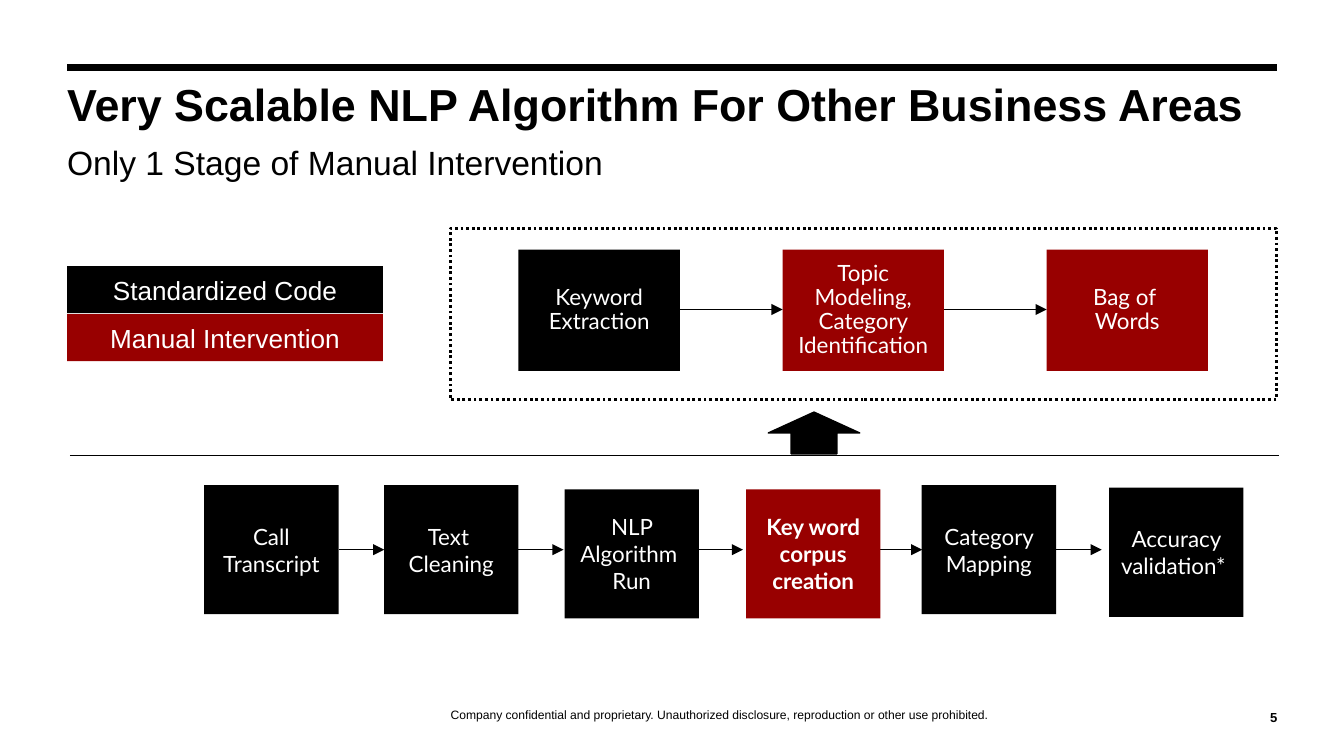
import pptx
import pptx.util
import pptx.dml.color
import pptx.enum.dml
import pptx.enum.shapes
import pptx.enum.text
import pptx.oxml.ns
import lxml.etree

Cm, Pt = pptx.util.Cm, pptx.util.Pt
SHAPE = pptx.enum.shapes.MSO_SHAPE
ALIGN = pptx.enum.text.PP_ALIGN
ANCHOR = pptx.enum.text.MSO_ANCHOR

COLORS = {"black": "000000", "red": "980000", "white": "FFFFFF"}

TITLE = "Very Scalable NLP Algorithm For Other Business Areas"
SUBTITLE = "Only 1 Stage of Manual Intervention"
FOOTER = "Company confidential and proprietary. Unauthorized disclosure, reproduction or other use prohibited."
PAGE = "5"
LEGEND = [("Standardized Code", "black"), ("Manual Intervention", "red")]
DETAIL_STEPS = [
    (["Keyword Extraction"], "black"),
    (["Topic Modeling, Category Identification"], "red"),
    (["Bag of ", "Words"], "red"),
]
MAIN_STEPS = [
    (3.86, 9.17, ["Call Transcript"], "black"),
    (7.26, 9.17, ["Text ", "Cleaning"], "black"),
    (10.67, 9.25, ["NLP Algorithm ", "Run"], "black"),
    (14.1, 9.25, ["Key word corpus creation"], "red"),
    (17.42, 9.17, ["Category Mapping"], "black"),
    (20.96, 9.22, ["Accuracy validation* "], "black"),
]

LEFT, RIGHT = 1.27, 24.13
LEGEND_TOP, LEGEND_PITCH = 5.03, 0.91
DETAIL_LEFT, DETAIL_TOP, DETAIL_PITCH = 9.8, 4.72, 4.99
DETAIL_W, DETAIL_H, DETAIL_ARROW_Y = 3.05, 2.29, 5.85
STEP_W, STEP_H = 2.54, 2.44
ARROW_LEFT, ARROW_Y, ARROW_PITCH, ARROW_W = 6.4, 10.39, 3.39, 0.86


def rgb(color):
    return pptx.dml.color.RGBColor.from_string(COLORS[color])


def set_frame(tf, inset_x, inset_y, anchor):
    tf.word_wrap = True
    tf.margin_left = tf.margin_right = Cm(inset_x)
    tf.margin_top = tf.margin_bottom = Cm(inset_y)
    tf.vertical_anchor = anchor


def add_text(p, text, size, color="black", font="Arial", bold=False, align=ALIGN.LEFT, spacing=1.0):
    p.alignment = align
    p.line_spacing = spacing
    r = p.add_run()
    r.text = text
    r.font.size = Pt(size)
    r.font.name = font
    r.font.bold = bold
    r.font.color.rgb = rgb(color)


def add_label(s, x, y, w, h, anchor):
    tf = s.shapes.add_textbox(Cm(x), Cm(y), Cm(w), Cm(h)).text_frame
    set_frame(tf, 0, 0, anchor)
    return tf


def add_shape(s, kind, x, y, w, h, fill=None, line=None, width=0.75):
    sp = s.shapes.add_shape(kind, Cm(x), Cm(y), Cm(w), Cm(h))
    sp.shadow.inherit = False
    if fill:
        sp.fill.solid()
        sp.fill.fore_color.rgb = rgb(fill)
    else:
        sp.fill.background()
    if line:
        sp.line.color.rgb = rgb(line)
        sp.line.width = Pt(width)
    else:
        sp.line.fill.background()
    return sp


def add_box(s, x, y, w, h, lines, fill, size=12, font="Lato", inset_x=0.13, bold=False, spacing=1.0):
    tf = add_shape(s, SHAPE.RECTANGLE, x, y, w, h, fill).text_frame
    set_frame(tf, inset_x, 0.13, ANCHOR.MIDDLE)
    for i, text in enumerate(lines):
        p = tf.add_paragraph() if i else tf.paragraphs[0]
        add_text(p, text, size, "white", font, bold, ALIGN.CENTER, spacing)


def add_line(s, x1, x2, y, width=0.75, arrow=False):
    line = s.shapes.add_connector(
        pptx.enum.shapes.MSO_CONNECTOR.STRAIGHT, Cm(x1), Cm(y), Cm(x2), Cm(y))
    line.line.color.rgb = rgb("black")
    line.line.width = Pt(width)
    qn = pptx.oxml.ns.qn
    if arrow:
        lxml.etree.SubElement(line.line._get_or_add_ln(), qn("a:tailEnd"), type="triangle")
    lxml.etree.SubElement(line._element.spPr, qn("a:effectLst"))


def main():
    prs = pptx.Presentation()
    prs.slide_width, prs.slide_height = Cm(25.4), Cm(14.29)
    s = prs.slides.add_slide(prs.slide_layouts[6])

    footer = add_label(s, 3.71, 12.8, 19.79, 0.84, ANCHOR.BOTTOM)
    add_text(footer.paragraphs[0], FOOTER, 6.5, align=ALIGN.CENTER, spacing=1.14)
    add_line(s, LEFT, RIGHT, 1.27, width=3.75)

    title = add_label(s, LEFT, 1.65, RIGHT - LEFT, 1.9, ANCHOR.TOP)
    add_text(title.paragraphs[0], TITLE, 24, bold=True, spacing=0.8)
    p = title.add_paragraph()
    p.space_before = Pt(6)
    add_text(p, SUBTITLE, 18)

    page = add_label(s, 23.5, 13.06, 0.64, 0.64, ANCHOR.BOTTOM)
    add_text(page.paragraphs[0], PAGE, 7, bold=True, align=ALIGN.RIGHT)

    for i, (text, fill) in enumerate(LEGEND):
        add_box(s, LEFT, LEGEND_TOP + i * LEGEND_PITCH, 5.97, 0.89, [text], fill,
                size=14, font="Arial", inset_x=0.25)

    frame = add_shape(s, SHAPE.RECTANGLE, 8.51, 4.32, 15.62, 3.23, line="black", width=1.5)
    frame.line.dash_style = pptx.enum.dml.MSO_LINE.ROUND_DOT
    for i, (lines, fill) in enumerate(DETAIL_STEPS):
        x = DETAIL_LEFT + i * DETAIL_PITCH
        add_box(s, x, DETAIL_TOP, DETAIL_W, DETAIL_H, lines, fill, spacing=0.9)
        if i:
            add_line(s, x - DETAIL_PITCH + DETAIL_W, x, DETAIL_ARROW_Y, arrow=True)

    add_shape(s, SHAPE.UP_ARROW, 14.52, 7.79, 1.73, 0.79, "black", "black")
    add_line(s, 1.32, 24.18, 8.61)

    for i in range(len(MAIN_STEPS) - 1):
        x = ARROW_LEFT + i * ARROW_PITCH
        add_line(s, x, x + ARROW_W, ARROW_Y, arrow=True)
    for x, y, lines, fill in MAIN_STEPS:
        add_box(s, x, y, STEP_W, STEP_H, lines, fill, bold=fill == "red")

    prs.save("out.pptx")


if __name__ == "__main__":
    main()
